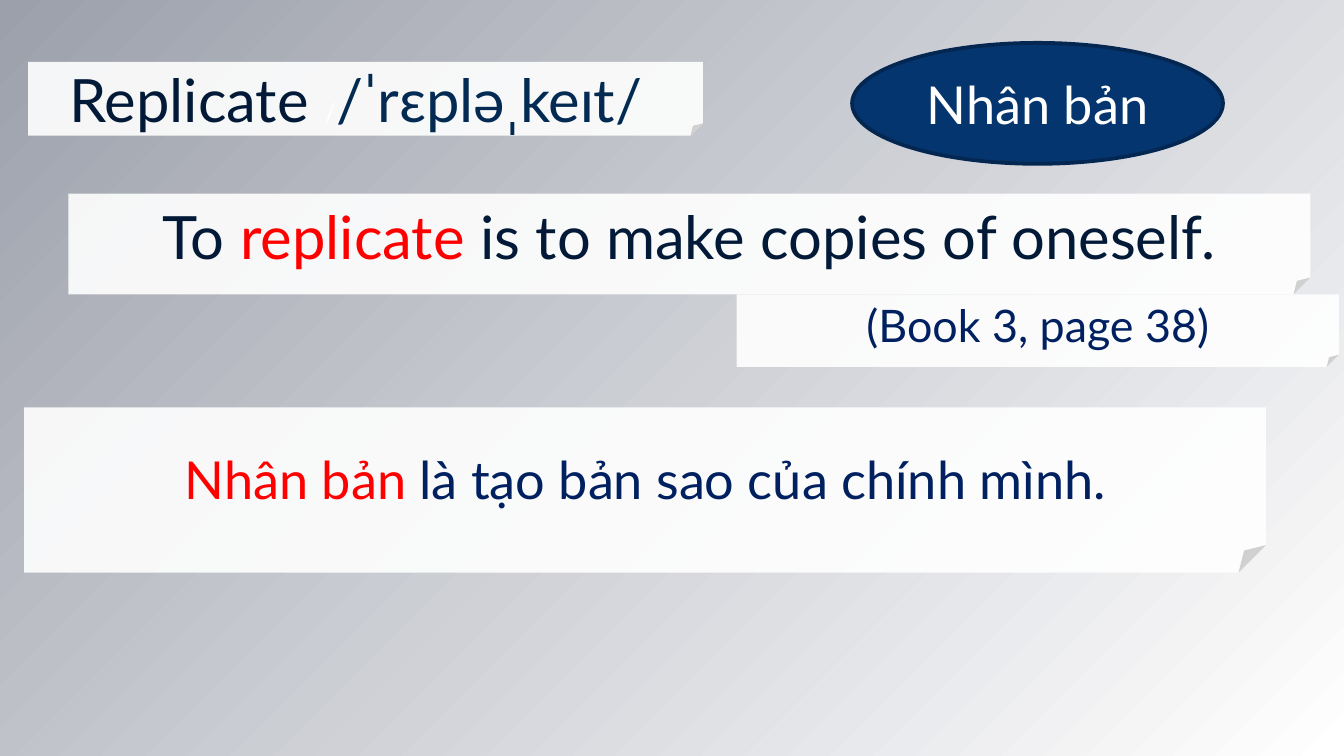
from typing import NamedTuple

from lxml import etree
from pptx import Presentation
from pptx import util as u
from pptx.dml.color import RGBColor
from pptx.enum import shapes, text
from pptx.oxml import ns

FONT = "Lato"
COLORS = {
    "shade": "9CA0AB",
    "white": "FFFFFF",
    "ink": "021A37",
    "phonetic": "022A52",
    "navy": "002060",
    "highlight": "FF0000",
    "oval": "05356E",
    "oval_line": "042751",
}
PAPER_OPACITY = 90


class Span(NamedTuple):
    text: str
    size: float
    color: str


class Label(NamedTuple):
    left: float
    top: float
    width: float
    height: float
    spans: list[Span]
    line_spacing: float = 1.0


DEFINITION = Label(36.7, 103.7, 665.3, 54, [
    Span("To ", 32, "ink"),
    Span("replicate", 32, "highlight"),
    Span(" is to make copies of oneself.", 32, "ink"),
])
HEADWORD = Label(15.1, 33.1, 361.4, 39.6, [
    Span("Replicate ", 32, "ink"),
    Span("/", 14, "white"),
    Span("/ˈrɛpləˌkeɪt/", 32, "phonetic"),
    Span(" ", 40, "ink"),
])
MEANING = Label(456.5, 23, 198.7, 64.8, [Span("Nhân bản", 28, "white")])
REFERENCE = Label(394.6, 157.7, 322.6, 38.9, [Span("(Book 3, page 38)", 24, "navy")])
TRANSLATION = Label(13, 218.2, 665.3, 88.6, [
    Span("Nhân bản ", 28, "highlight"),
    Span("là tạo bản sao của chính mình.", 28, "navy"),
], 1.07)


def rgb(name: str) -> RGBColor:
    return RGBColor.from_string(COLORS[name])


def add_label(page, label: Label, preset: shapes.MSO_SHAPE, fill: str):
    """Add a borderless filled shape with one centred paragraph."""
    box = page.shapes.add_shape(
        preset, u.Pt(label.left), u.Pt(label.top), u.Pt(label.width), u.Pt(label.height)
    )
    box.shadow.inherit = False
    box.fill.solid()
    box.fill.fore_color.rgb = rgb(fill)
    box.line.fill.background()

    frame = box.text_frame
    frame.word_wrap = True
    frame.vertical_anchor = text.MSO_ANCHOR.MIDDLE
    para = frame.paragraphs[0]
    para.alignment = text.PP_ALIGN.CENTER
    para.line_spacing = label.line_spacing
    para.font.name = FONT
    for span in label.spans:
        run = para.add_run()
        run.text = span.text
        run.font.name = FONT
        run.font.size = u.Pt(span.size)
        run.font.color.rgb = rgb(span.color)
    return box


def add_paper(page, label: Label) -> None:
    """Add a translucent white note with a folded corner."""
    box = add_label(page, label, shapes.MSO_SHAPE.FOLDED_CORNER, "white")
    color = box.fill._xPr.find(ns.qn("a:solidFill"))[0]
    etree.SubElement(color, ns.qn("a:alpha"), val=str(PAPER_OPACITY * 1000))


def add_oval(page, label: Label) -> None:
    box = add_label(page, label, shapes.MSO_SHAPE.OVAL, "oval")
    box.line.color.rgb = rgb("oval_line")
    box.line.width = u.Pt(2)


def paint_background(page) -> None:
    fill = page.background.fill
    fill.gradient()
    fill.gradient_angle = 315  # counter-clockwise: top left to bottom right
    for stop, name in zip(fill.gradient_stops, ("shade", "white")):
        stop.color.rgb = rgb(name)


def main() -> None:
    deck = Presentation()
    deck.slide_width, deck.slide_height = u.Pt(720), u.Pt(405)
    page = deck.slides.add_slide(deck.slide_layouts[6])
    paint_background(page)
    add_paper(page, DEFINITION)
    add_paper(page, HEADWORD)
    add_oval(page, MEANING)
    add_paper(page, REFERENCE)
    add_paper(page, TRANSLATION)
    deck.save("out.pptx")


if __name__ == "__main__":
    main()
